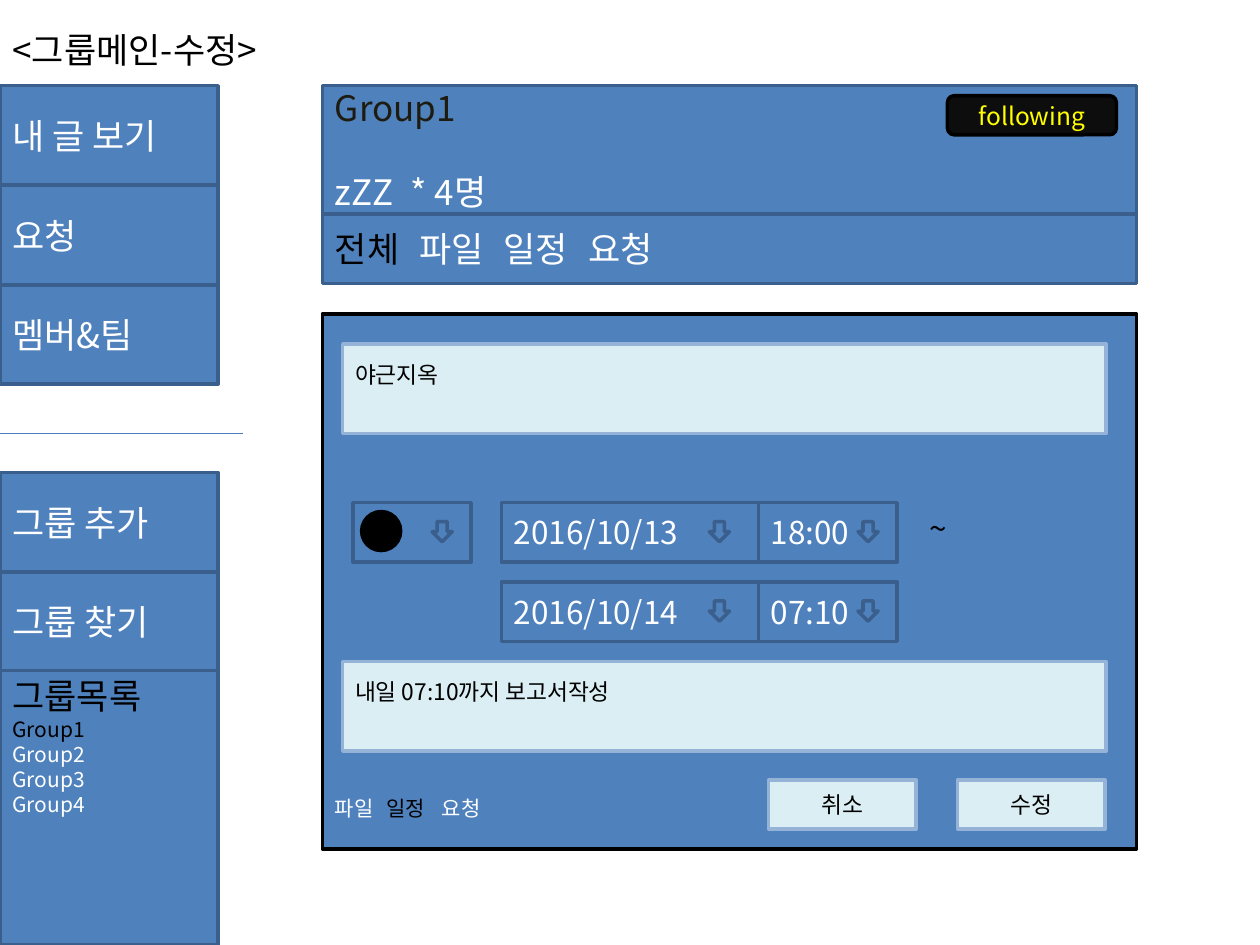
from lxml.etree import SubElement
from pptx import Presentation
from pptx.dml.color import RGBColor
from pptx.enum.shapes import MSO_CONNECTOR, MSO_SHAPE
from pptx.enum.text import MSO_ANCHOR, PP_ALIGN
from pptx.oxml.ns import qn
from pptx.util import Inches, Pt

FONT = "Noto Sans CJK KR"
COLORS = {
    "black": "000000", "white": "FFFFFF", "yellow": "FFFF00",
    "blue": "4F81BD", "blue_edge": "3A5F8C", "divider": "4B7EBC",
    "pale": "DBEEF4", "pale_edge": "95B3D7",
    "badge": "0D0D0D", "group_name": "1E1C11",
}


class Mockup:
    def __init__(self, slide):
        self.slide = slide

    @staticmethod
    def color(name):
        return RGBColor.from_string(COLORS[name])

    def style_run(self, run, size, color):
        run.font.size = Pt(size)
        run.font.name = FONT
        run.font.color.rgb = self.color(color)
        SubElement(run.font._element, qn("a:ea"), typeface=FONT)

    def add_text(self, shape, paragraphs, size, color="white", align=PP_ALIGN.LEFT,
                 anchor=MSO_ANCHOR.MIDDLE, wrap=True):
        """Fill a shape; each paragraph is a string or a list of (text, color[, size]) runs."""
        frame = shape.text_frame
        frame.word_wrap = wrap
        frame.vertical_anchor = anchor
        for index, content in enumerate(paragraphs):
            paragraph = frame.add_paragraph() if index else frame.paragraphs[0]
            paragraph.alignment = align
            runs = [(content, color)] if isinstance(content, str) else content
            for text, run_color, *run_size in runs:
                run = paragraph.add_run()
                run.text = text
                self.style_run(run, run_size[0] if run_size else size, run_color)
        return frame

    def shape(self, left, top, width, height, fill="blue", line="blue_edge",
              kind=MSO_SHAPE.RECTANGLE):
        shape = self.slide.shapes.add_shape(
            kind, Inches(left), Inches(top), Inches(width), Inches(height))
        shape.shadow.inherit = False
        shape.fill.solid()
        shape.fill.fore_color.rgb = self.color(fill)
        shape.line.color.rgb = self.color(line)
        shape.line.width = Pt(2)
        return shape

    def label(self, left, top, width, height, text, size, **options):
        box = self.slide.shapes.add_textbox(
            Inches(left), Inches(top), Inches(width), Inches(height))
        self.add_text(box, [text], size, "black", **options)

    def pale_box(self, left, top, width, height):
        return self.shape(left, top, width, height, "pale", "pale_edge")

    def memo(self, top, text):
        frame = self.add_text(self.pale_box(2.72, top, 6.06, 0.71), [text], 13, "black",
                              anchor=MSO_ANCHOR.TOP)
        frame.margin_top = Inches(0.13)

    def button(self, left, text):
        self.add_text(self.pale_box(left, 6.19, 1.17, 0.39), [text], 13, "black",
                      align=PP_ALIGN.CENTER)

    def arrow(self, left, top):
        self.shape(left, top, 0.16, 0.16, kind=MSO_SHAPE.DOWN_ARROW)

    def dropdown(self, left, top, width, text, arrow_left):
        self.add_text(self.shape(left, top, width, 0.47), [text], 18)
        self.arrow(arrow_left, top + 0.15)

    def divider(self, left, top, right):
        line = self.slide.shapes.add_connector(
            MSO_CONNECTOR.STRAIGHT, Inches(left), Inches(top), Inches(right), Inches(top))
        line.line.color.rgb = self.color("divider")
        line.line.width = Pt(0.75)
        SubElement(line._element.spPr, qn("a:effectLst"))

    @staticmethod
    def tab_stops(paragraph, positions):
        tabs = SubElement(paragraph._p.get_or_add_pPr(), qn("a:tabLst"))
        for position in positions:
            SubElement(tabs, qn("a:tab"), pos=str(Inches(position)), algn="l")


def build_sidebar(mockup):
    row_height = 0.79
    for first_top, names in ((0.68, ("내 글 보기", "요청", "멤버&팀")),
                             (3.75, ("그룹 추가", "그룹 찾기"))):
        for row, name in enumerate(names):
            item = mockup.shape(0, first_top + row * row_height, 1.73, row_height)
            mockup.add_text(item, [name], 20)
    mockup.divider(0, 3.44, 1.93)
    group_list = mockup.shape(0, 5.32, 1.73, 2.18)
    frame = mockup.add_text(
        group_list,
        [[("그룹목록", "black", 20)], [("Group1", "black")], "Group2", "Group3", "Group4"],
        12, anchor=MSO_ANCHOR.TOP)
    frame.margin_top = Inches(0.03)


def build_header(mockup):
    frame = mockup.add_text(mockup.shape(2.56, 0.68, 6.46, 1.02),
                            [[("Group1", "group_name")], "zZZ\t* 4명"], 20)
    members = frame.paragraphs[1]
    mockup.tab_stops(members, [0.6])
    members.space_before = Pt(24)
    badge = mockup.shape(7.52, 0.76, 1.34, 0.31, "badge", "black",
                         MSO_SHAPE.ROUNDED_RECTANGLE)
    mockup.add_text(badge, ["following"], 14, "yellow", align=PP_ALIGN.CENTER)
    frame = mockup.add_text(mockup.shape(2.56, 1.7, 6.46, 0.55),
                            [[("전체", "black"), ("\t파일\t일정\t요청", "white")]], 20)
    mockup.tab_stops(frame.paragraphs[0], [0.67 * step for step in (1, 2, 3)])


def build_editor(mockup):
    panel = mockup.shape(2.56, 2.49, 6.46, 4.25, line="black")
    frame = mockup.add_text(
        panel, [[("파일\t", "white"), ("일정", "black"), ("\t요청", "white")]], 12,
        anchor=MSO_ANCHOR.BOTTOM)
    frame.margin_bottom = Inches(0.23)
    mockup.tab_stops(frame.paragraphs[0], [0.41, 0.85])

    mockup.memo(2.73, "야근지옥")
    mockup.shape(2.8, 3.99, 0.94, 0.47)
    mockup.shape(2.87, 4.06, 0.31, 0.31, "black", "black", MSO_SHAPE.OVAL)
    mockup.arrow(3.43, 4.14)
    for top, date, time in ((3.99, "2016/10/13", "18:00"), (4.62, "2016/10/14", "07:10")):
        mockup.dropdown(3.98, top, 2.05, date, 5.63)
        mockup.dropdown(6.02, top, 1.1, time, 6.81)
    mockup.label(7.28, 3.99, 0.38, 0.4, "~", 18, anchor=MSO_ANCHOR.TOP, wrap=False)
    mockup.memo(5.25, "내일 07:10까지 보고서작성")
    mockup.button(6.1, "취소")
    mockup.button(7.6, "수정")


def main():
    presentation = Presentation()
    presentation.slide_width = Inches(10)
    presentation.slide_height = Inches(7.5)
    mockup = Mockup(presentation.slides.add_slide(presentation.slide_layouts[6]))
    mockup.label(0, 0, 9.09, 0.79, "<그룹메인-수정>", 20)
    build_sidebar(mockup)
    build_header(mockup)
    build_editor(mockup)
    presentation.save("out.pptx")


if __name__ == "__main__":
    main()
